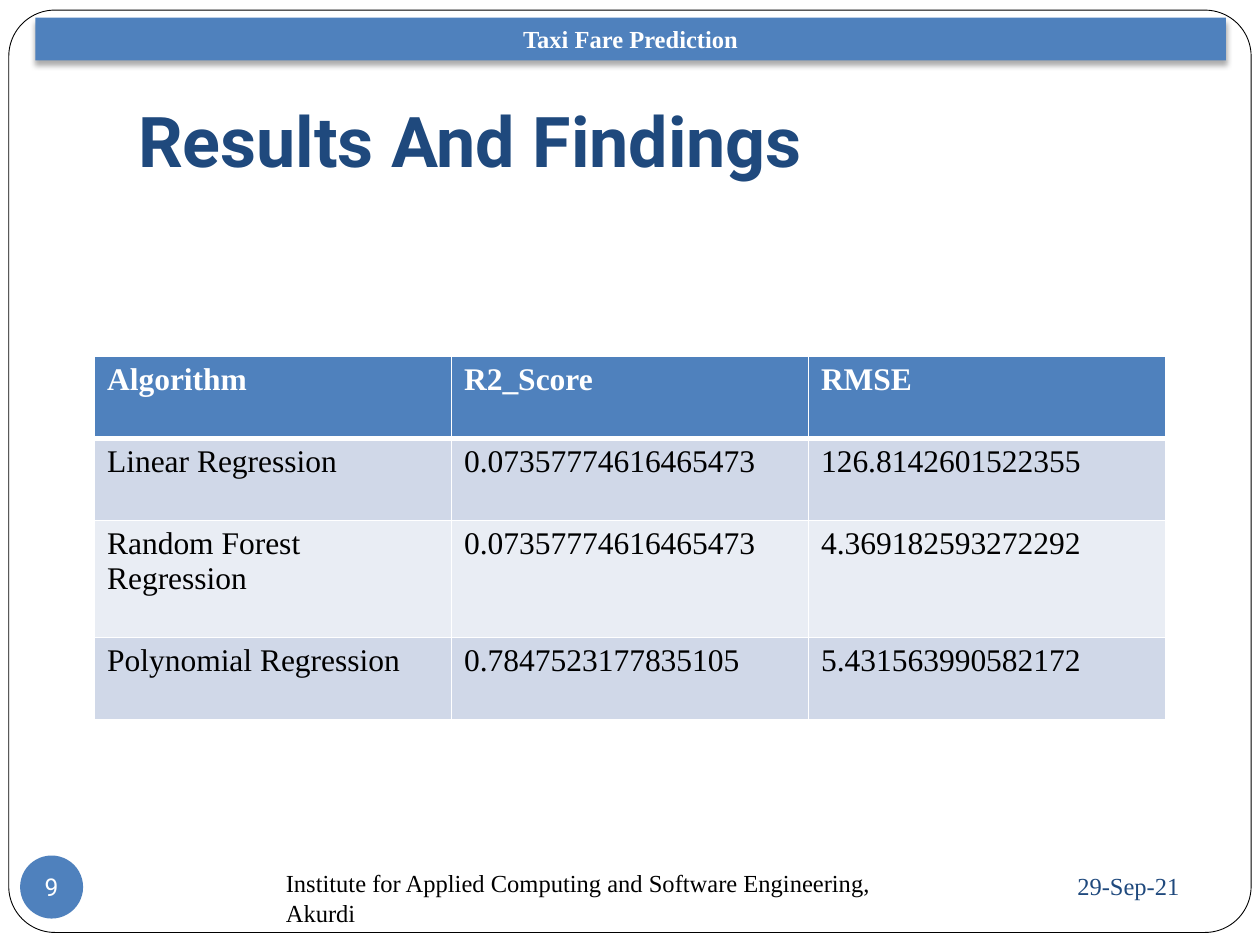
from lxml import etree
from pptx import Presentation
from pptx import util as u
from pptx.dml.color import RGBColor
from pptx.enum import shapes, text
from pptx.oxml import ns

BLUE = RGBColor(0x4F, 0x81, 0xBD)
NAVY = RGBColor(0x1F, 0x49, 0x7D)
PALE = RGBColor(0xE9, 0xED, 0xF4)
MIST = RGBColor(0xD0, 0xD8, 0xE8)
WHITE = RGBColor(255, 255, 255)
BLACK = RGBColor(0, 0, 0)
SERIF, SANS = "Times New Roman", "Roboto"
LEFT, MID, RIGHT = text.PP_ALIGN.LEFT, text.PP_ALIGN.CENTER, text.PP_ALIGN.RIGHT

deck = Presentation()
deck.slide_width, deck.slide_height = u.Inches(10), u.Inches(7.5)
slide = deck.slides.add_slide(deck.slide_layouts[6])
items = slide.shapes


def area(x, y, w, h):
    """Turn percentages of the slide's width and height into lengths."""
    wide, high = deck.slide_width / 100, deck.slide_height / 100
    return [round(v) for v in (x * wide, y * high, w * wide, h * high)]


def write(frame, words, size=14, font=SERIF, color=BLACK, bold=False,
          align=LEFT, anchor=text.MSO_ANCHOR.MIDDLE, wrap=True):
    frame.word_wrap = wrap
    frame.vertical_anchor = anchor
    para = frame.paragraphs[0]
    para.alignment = align
    run = para.add_run()
    run.text = words
    run.font.size, run.font.name = u.Pt(size), font
    run.font.bold, run.font.color.rgb = bold, color


# Page frame
page = items.add_shape(shapes.MSO_SHAPE.ROUNDED_RECTANGLE, *area(0.7, 1.07, 98.6, 97.6))
page.adjustments[0] = 0.05
page.shadow.inherit = False
page.fill.solid()
page.fill.fore_color.rgb = WHITE
page.line.color.rgb = BLACK
page.line.width = u.Pt(0.5)

# Title
title = items.add_textbox(*area(10, 4, 85, 16.53)).text_frame
title.margin_bottom = u.Inches(0.1)
write(title, "Results And Findings", size=40, font=SANS, color=NAVY, bold=True,
      anchor=text.MSO_ANCHOR.BOTTOM)

# Date and page number
date = items.add_textbox(*area(67.5, 90.27, 27.1, 6.93)).text_frame
write(date, "29-Sep-21", color=NAVY, align=RIGHT)

disc = items.add_shape(shapes.MSO_SHAPE.OVAL, *area(1.6, 90.53, 5, 6.67))
disc.shadow.inherit = False
disc.fill.solid()
disc.fill.fore_color.rgb = BLUE
disc.line.fill.background()
label = disc.text_frame
label.margin_left = label.margin_right = label.margin_top = label.margin_bottom = 0
write(label, "9", font=SANS, color=WHITE, align=MID, wrap=False)

# Scores
ROWS = [
    ("Algorithm", "R2_Score", "RMSE"),
    ("Linear Regression", "0.07357774616465473", "126.8142601522355"),
    ("Random Forest Regression", "0.07357774616465473", "4.369182593272292"),
    ("Polynomial Regression", "0.7847523177835105", "5.431563990582172"),
]
FILLS = [BLUE, MIST, PALE, MIST]
HIGHS = [0.65, 0.65, 0.93, 0.65]
grid = items.add_table(len(ROWS), 3, *area(7.5, 37.73, 85, 38.4)).table
for r, (row, fill, high) in enumerate(zip(ROWS, FILLS, HIGHS)):
    grid.rows[r].height = u.Inches(high)
    head = r == 0
    for c, words in enumerate(row):
        cell = grid.cell(r, c)
        props = cell._tc.get_or_add_tcPr()
        for side in "LRTB":
            thick = (r, side) in [(0, "B"), (1, "T")]
            edge = etree.SubElement(props, ns.qn("a:ln" + side), w=str(u.Pt(3 if thick else 1)))
            paint = etree.SubElement(edge, ns.qn("a:solidFill"))
            etree.SubElement(paint, ns.qn("a:srgbClr"), val=str(WHITE))
        cell.fill.solid()
        cell.fill.fore_color.rgb = fill
        write(cell.text_frame, words, size=18, bold=head,
              color=WHITE if head else BLACK, anchor=text.MSO_ANCHOR.TOP)

# Footer
foot = items.add_textbox(*area(21.7, 92, 54.1, 6)).text_frame
write(foot, "Institute for Applied Computing and Software Engineering, Akurdi")

# Header bar with a soft shadow below
bar = items.add_shape(shapes.MSO_SHAPE.RECTANGLE, *area(2.8, 1.87, 94.5, 4.53))
bar.fill.solid()
bar.fill.fore_color.rgb = BLUE
bar.line.fill.background()
bar.shadow.inherit = False
glow = etree.SubElement(bar._element.spPr.find(ns.qn("a:effectLst")), ns.qn("a:outerShdw"),
                        blurRad=str(u.Pt(3.5)), dist=str(u.Pt(2.2)), dir="5400000",
                        rotWithShape="0")
tint = etree.SubElement(glow, ns.qn("a:srgbClr"), val=str(BLACK))
etree.SubElement(tint, ns.qn("a:alpha"), val="32000")
write(bar.text_frame, "Taxi Fare Prediction", color=WHITE, bold=True, align=MID)

deck.save("out.pptx")
